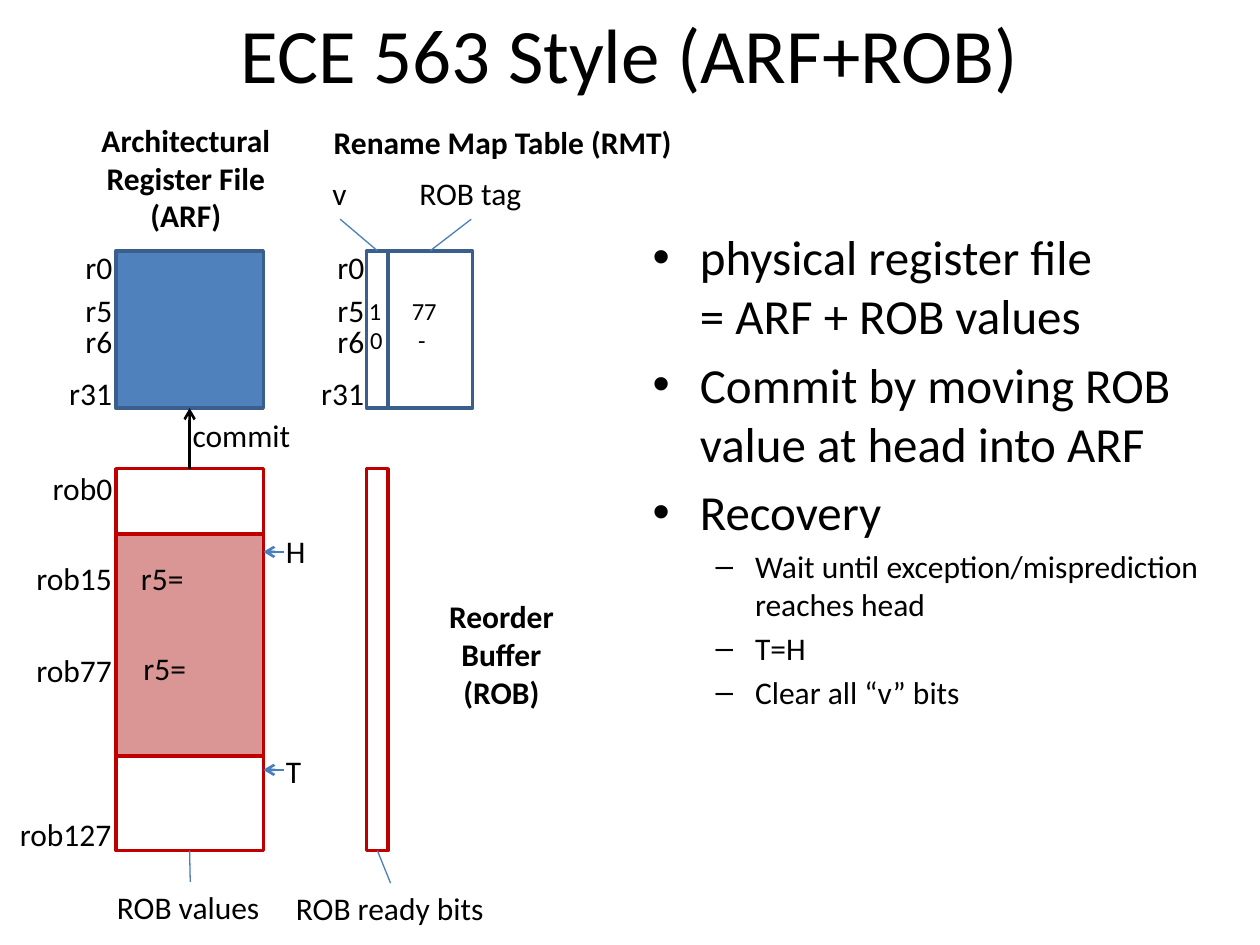
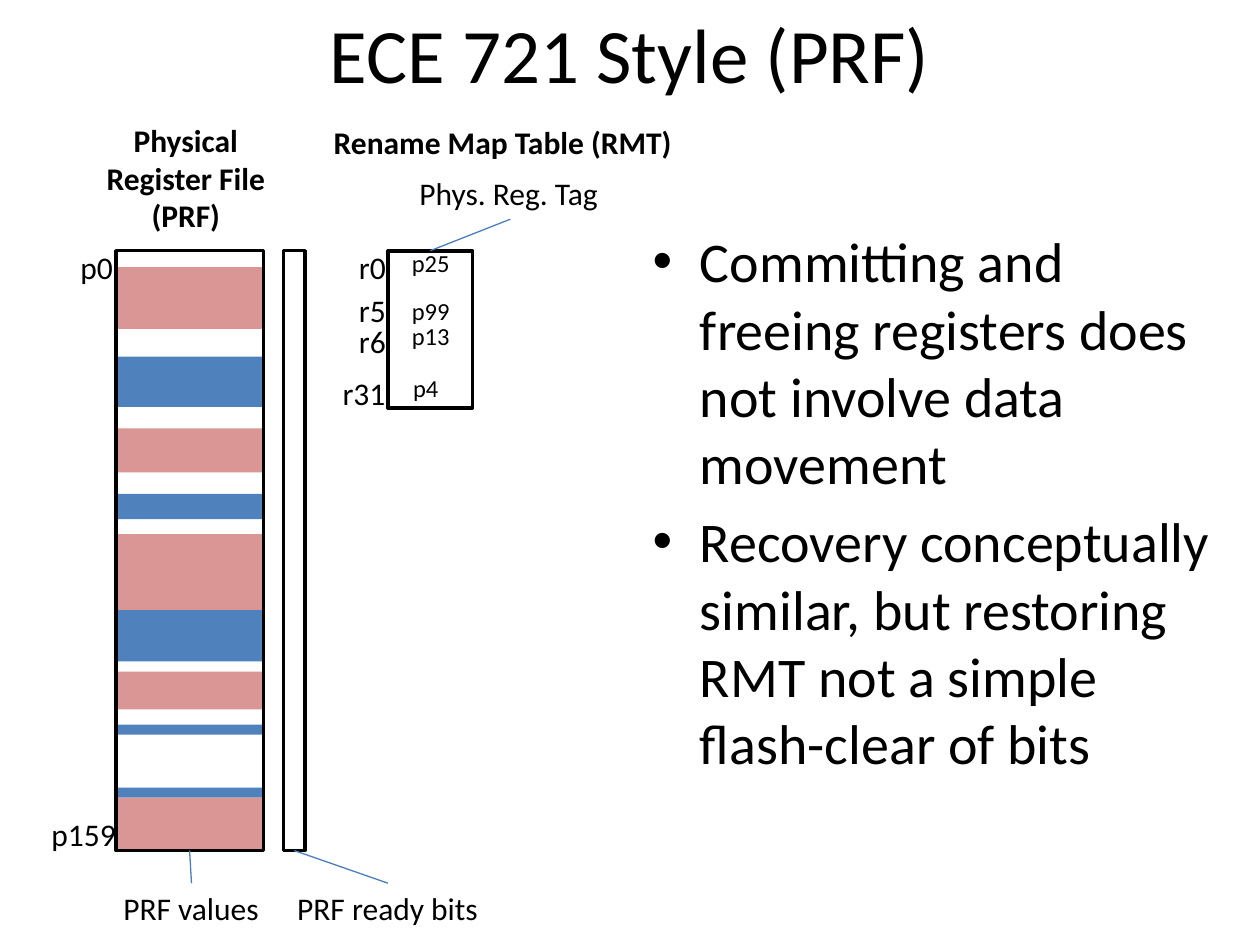
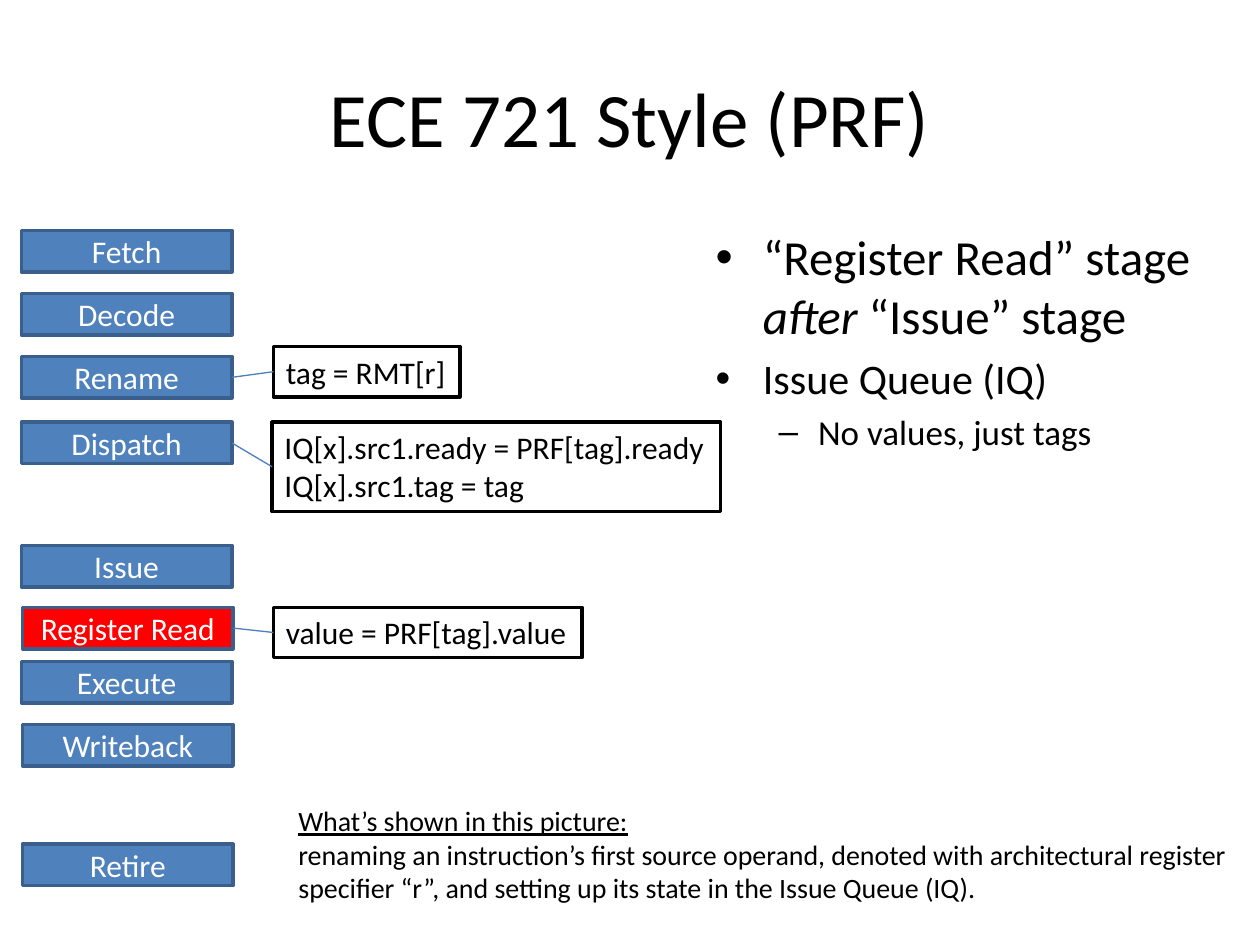
from copy import deepcopy
from lxml.etree import SubElement as Sub
from pptx import Presentation
from pptx.dml.color import RGBColor as Rgb
from pptx.enum.shapes import MSO_CONNECTOR as Conn, MSO_SHAPE as Kind
from pptx.enum.text import MSO_ANCHOR as Anchor, MSO_AUTO_SIZE as Auto, PP_ALIGN as Align
from pptx.oxml.ns import qn
from pptx.util import Inches as In, Pt

WIDE, HIGH = 10, 7.5
FONT = "Calibri"
BLACK, WHITE, RED = "000000", "FFFFFF", "FF0000"
BLUE, EDGE, WIRE = "4F81BD", "3A5F8C", "4B7EBC"
PINK, CRIMSON = "D99694", "C00000"

TOP, FOOT, REG_H = 1.99, 6.75, 1.25
FILE_X, FILE_W = 0.92, 1.17
BIT_W, TAG_X, TAG_W = 0.17, 3.08, 0.67
ROB_Y, HEAD_Y, TAIL_Y = 3.72, 4.24, 6
ROB_H = FOOT - ROB_Y

REGS = [("r0", 1.92, 0.42), ("r5", 2.26, 0.42), ("r6", 2.51, 0.42), ("r31", 2.92, 0.55)]
ROBS = [("rob0", 3.67, 0.68), ("rob15", 4.39, 0.81), ("rob77", 5.12, 0.81),
        ("rob127", 6.42, 0.94)]

ARF_TEXT = [
    ("commit", 1.43, 3.25, 0.99), ("v", 2.54, 1.33, 0.32), ("ROB tag", 3.23, 1.33, 1.02),
    ("H", 2.17, 4.17, 0.36), ("T", 2.17, 5.92, 0.32),
    ("r5=", 1.02, 4.39, 0.54), ("r5=", 1.04, 5.1, 0.54),
    ("ROB values", 0.83, 7, 1.34), ("ROB ready bits", 2.25, 7.01, 1.71),
]
ARF_CELLS = [("1", 2.83, 2.3, 0.3), ("77", 3.17, 2.3, 0.4),
             ("0", 2.84, 2.53, 0.3), ("-", 3.22, 2.53, 0.26)]
ARF_BODY = [
    (0, 28, "physical register file\n= ARF + ROB values"),
    (0, 28, "Commit by moving ROB value at head into ARF"),
    (0, 28, "Recovery"),
    (1, 18, "Wait until exception/misprediction reaches head"),
    (1, 18, "T=H"),
    (1, 18, "Clear all “v” bits"),
]

PRF_TEXT = [
    ("p0", 0.54, 1.92, 0.46), ("p159", 0.31, 6.42, 0.72), ("Phys. Reg. Tag", 3.23, 1.33, 1.63),
    ("PRF values", 0.88, 7.01, 1.29), ("PRF ready bits", 2.26, 7.01, 1.65),
]
PRF_CELLS = [("p25", 3.17, 1.92, 0.51), ("p99", 3.17, 2.3, 0.51),
             ("p13", 3.17, 2.5, 0.51), ("p4", 3.18, 2.91, 0.41)]
BANDS = {
    BLUE: [(2.83, 0.4), (3.92, 0.2), (4.83, 0.42), (5.75, 0.08), (6.25, 0.08)],
    PINK: [(2.12, 0.49), (3.4, 0.35), (4.24, 0.6), (5.33, 0.3), (6.33, 0.42)],
}
PRF_BODY = [
    (0, 32, "Committing and freeing registers does not involve data movement"),
    (0, 32, "Recovery conceptually similar, but restoring RMT not a simple flash-clear of bits"),
]

STAGES = [
    ("Fetch", 0.17, 1.83), ("Decode", 0.17, 2.33), ("Rename", 0.17, 2.83),
    ("Dispatch", 0.17, 3.35), ("Issue", 0.17, 4.33), ("Register Read", 0.18, 4.82),
    ("Execute", 0.17, 5.25), ("Writeback", 0.18, 5.75), ("Retire", 0.18, 6.7),
]
NOTES = [
    ("Rename", ["tag = RMT[r]"], (2.17, 2.75, 1.48, 0.4)),
    ("Dispatch", ["IQ[x].src1.ready = PRF[tag].ready", "IQ[x].src1.tag = tag"],
     (2.16, 3.35, 3.56, 0.71)),
    ("Register Read", ["value = PRF[tag].value"], (2.17, 4.82, 2.45, 0.4)),
]
STAGE_BODY = [
    (0, 28, ["“Register Read” stage ", ("after", {"italic": True}), " “Issue” stage"]),
    (0, 24, "Issue Queue (IQ)"),
    (1, 20, "No values, just tags"),
]
STORY = [
    ("What’s shown in this picture:\n", {"underline": True}),
    "renaming an instruction’s first source operand, denoted with architectural register "
    "specifier “r”, and setting up its state in the Issue Queue (IQ).",
]


def color(code):
    return Rgb.from_string(code)


def write(para, text, size=18, ink=BLACK, align=None, **style):
    para.alignment = align
    for part in [text] if isinstance(text, str) else text:
        words, extra = (part, {}) if isinstance(part, str) else part
        for n, line in enumerate(words.split("\n")):
            if n:
                para._p.add_br().insert(0, deepcopy(run._r.rPr))
            if not line:
                continue
            run = para.add_run()
            run.text = line
            font = run.font
            font.name, font.size, font.color.rgb = FONT, Pt(size), color(ink)
            for name, value in {**style, **extra}.items():
                setattr(font, name, value)


def label(slide, text, x, y, w, h=0.4, wrap=False, **style):
    frame = slide.shapes.add_textbox(In(x), In(y), In(w), In(h)).text_frame
    frame.word_wrap = wrap
    write(frame.paragraphs[0], text, **style)


def box(slide, x, y, w, h, fill=None, edge=None):
    shape = slide.shapes.add_shape(Kind.RECTANGLE, In(x), In(y), In(w), In(h))
    shape.shadow.inherit = False
    for paint, code in ((shape.fill, fill), (shape.line.fill, edge)):
        if code:
            paint.solid()
            paint.fore_color.rgb = color(code)
        else:
            paint.background()
    if edge:
        shape.line.width = Pt(2)
    return shape


def link(slide, start, end, ink=WIRE, width=0.75, arrow=False):
    line = slide.shapes.add_connector(Conn.STRAIGHT, 0, 0, 0, 0)
    if isinstance(start[0], (int, float)):
        line.begin_x, line.begin_y = map(In, start)
    else:
        line.begin_connect(*start)
    if isinstance(end[0], (int, float)):
        line.end_x, line.end_y = map(In, end)
    else:
        line.end_connect(*end)
    line.line.color.rgb, line.line.width = color(ink), Pt(width)
    if arrow:
        Sub(line.line._get_or_add_ln(), qn("a:tailEnd"), type="arrow")
    Sub(line._element.spPr, qn("a:effectLst"))


def place(shape, x, y, w, h):
    shape.left, shape.top, shape.width, shape.height = map(In, (x, y, w, h))


def page(deck, title, body, y=0, h=0.83, left=5.08):
    slide = deck.slides.add_slide(deck.slide_layouts[1])
    head, main = slide.placeholders
    place(head, WIDE * 0.05, y, WIDE * 0.9, h)
    head.text_frame.auto_size = Auto.NONE
    head.text_frame.vertical_anchor = Anchor.MIDDLE
    write(head.text_frame.paragraphs[0], title, size=44, align=Align.CENTER)
    place(main, left, 1.75, 9.83 - left, 4.95)
    frame = main.text_frame
    frame.auto_size = Auto.NONE
    for n, (level, size, text) in enumerate(body):
        para = frame.add_paragraph() if n else frame.paragraphs[0]
        para.level = level
        write(para, text, size=size)
    return slide


def gutter(slide, rows, right):
    for text, y, w in rows:
        label(slide, text, right - w, y, w)


def captions(slide, name, texts, cells):
    for item in texts:
        label(slide, *item)
    for item in cells:
        label(slide, *item, h=0.34, size=14)
    label(slide, "Rename Map Table (RMT)", 2.55, 0.93, 2.91, bold=True)
    label(slide, name, 0.58, 0.91, 1.79, 1.01, wrap=True, bold=True, align=Align.CENTER)


def arf(deck):
    slide = page(deck, "ECE 563 Style (ARF+ROB)", ARF_BODY)
    bit_x = TAG_X - BIT_W
    regs = box(slide, FILE_X, TOP, FILE_W, REG_H, BLUE, EDGE)
    rob = box(slide, FILE_X, ROB_Y, FILE_W, ROB_H, WHITE, CRIMSON)
    tags = box(slide, TAG_X, TOP, TAG_W, REG_H, edge=EDGE)
    bits = box(slide, bit_x, TOP, BIT_W, REG_H, edge=EDGE)
    box(slide, FILE_X, HEAD_Y, FILE_W, TAIL_Y - HEAD_Y, PINK, CRIMSON)
    ready = box(slide, bit_x, ROB_Y, BIT_W, ROB_H, edge=CRIMSON)
    link(slide, (rob, 0), (regs, 2), BLACK, 1.5, True)
    for start, end in (((2.7, 1.74), (bits, 0)), ((3.74, 1.74), (tags, 0)),
                       ((1.51, 7), (rob, 2)), ((3.1, 7.01), (ready, 2))):
        link(slide, start, end)
    for y in (4.38, 6.11):
        link(slide, (2.25, y), (FILE_X + FILE_W, y), width=1.5, arrow=True)
    gutter(slide, REGS + ROBS, 1)
    gutter(slide, REGS, 3)
    captions(slide, "Architectural\nRegister File (ARF)", ARF_TEXT, ARF_CELLS)
    label(slide, "Reorder\nBuffer\n(ROB)", 3.46, 4.69, 1.04, 1.01, bold=True, align=Align.CENTER)


def prf(deck):
    slide = page(deck, "ECE 721 Style (PRF)", PRF_BODY)
    tags = box(slide, TAG_X, TOP, TAG_W, REG_H, edge=BLACK)
    ready = box(slide, 2.25, TOP, BIT_W, FOOT - TOP, edge=BLACK)
    for fill, rows in BANDS.items():
        for y, h in rows:
            box(slide, FILE_X, y, FILE_W, h, fill)
    regs = box(slide, FILE_X, TOP, FILE_W, FOOT - TOP, edge=BLACK)
    for start, end in (((4.05, 1.74), (tags, 0)), ((1.52, 7.01), (regs, 2)),
                       ((3.08, 7.01), (ready, 2))):
        link(slide, start, end)
    gutter(slide, REGS, 3.17)
    captions(slide, "Physical\nRegister File (PRF)", PRF_TEXT, PRF_CELLS)


def stages(deck):
    slide = page(deck, "ECE 721 Style (PRF)", STAGE_BODY, y=0.3, h=1.25, left=5.58)
    steps = {}
    for name, x, y in STAGES:
        fill = RED if name == "Register Read" else BLUE
        steps[name] = box(slide, x, y, 1.67, 0.33, fill, EDGE)
        frame = steps[name].text_frame
        frame.vertical_anchor = Anchor.MIDDLE
        write(frame.paragraphs[0], name, ink=WHITE, align=Align.CENTER)
    for name, lines, spot in NOTES:
        note = box(slide, *spot, edge=BLACK)
        frame = note.text_frame
        frame.word_wrap, frame.vertical_anchor = False, Anchor.TOP
        for n, line in enumerate(lines):
            para = frame.add_paragraph() if n else frame.paragraphs[0]
            write(para, line, align=Align.LEFT)
        link(slide, (steps[name], 3), (note, 1))
    label(slide, STORY, 2.27, 6.33, 7.73, 0.91, wrap=True, size=16)


def main():
    deck = Presentation()
    deck.slide_width, deck.slide_height = In(WIDE), In(HIGH)
    for build in (arf, prf, stages):
        build(deck)
    deck.save("out.pptx")


if __name__ == "__main__":
    main()
